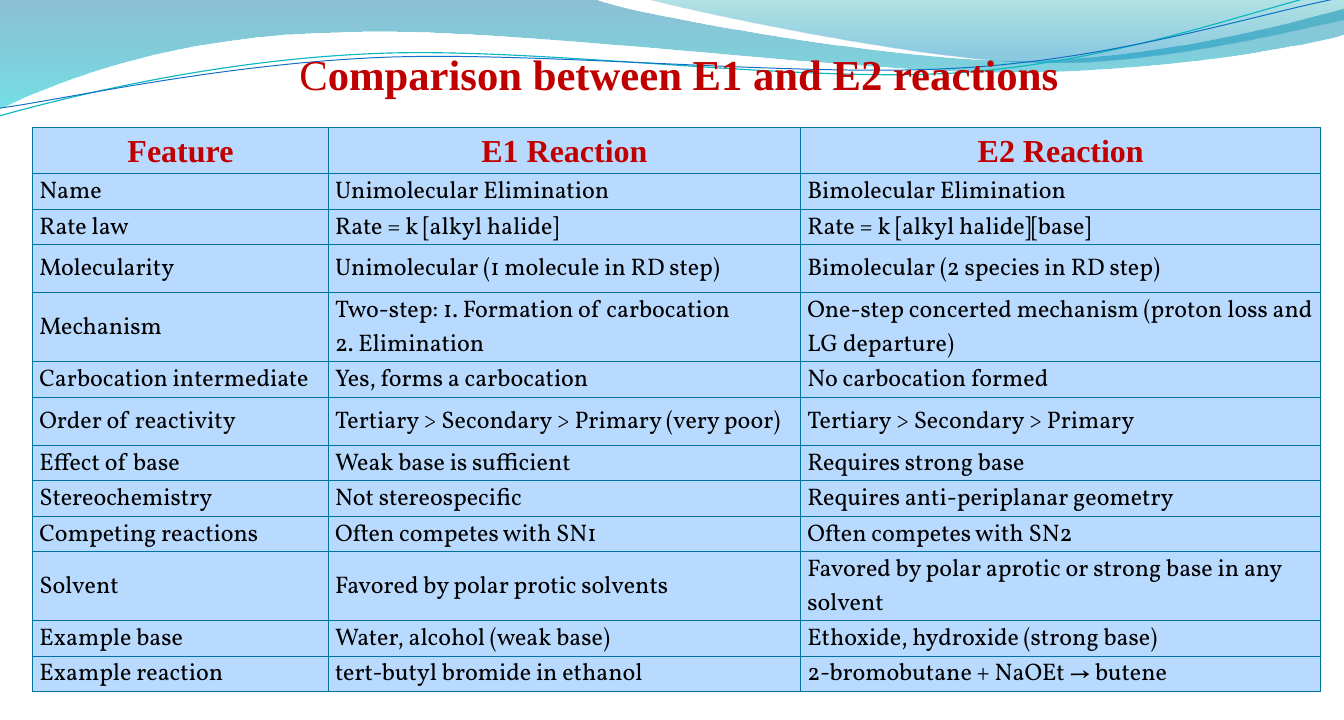
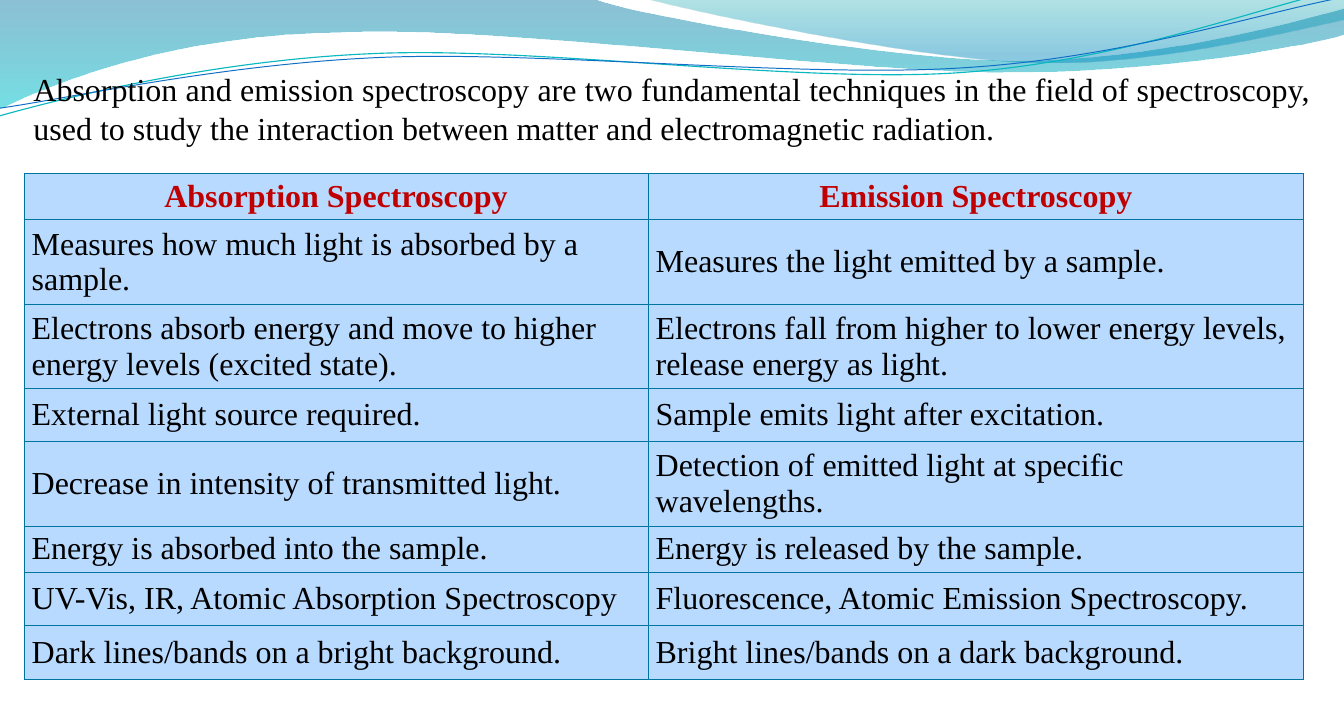
"""Build two comparison slides that share a wave banner and a table style."""
import dataclasses
import math
import typing

import lxml.etree
import pptx
import pptx.dml.color
import pptx.enum.text
import pptx.oxml.ns
import pptx.util

Inches = pptx.util.Inches
Pt = pptx.util.Pt
qn = pptx.oxml.ns.qn
ALIGN = pptx.enum.text.PP_ALIGN
MIDDLE = pptx.enum.text.MSO_ANCHOR.MIDDLE

SERIF = "Times New Roman"
BODY = "Vollkorn"
RED = "C00000"
BLACK = "000000"
CELL_BLUE = "B9DAFF"
BORDER = "0074A1"
LINE_TILT = 357.3

Point = tuple[float, float]


class Stop(typing.NamedTuple):
    """One colour of a wave's gradient."""
    position: float
    color: str
    opacity: int


class Stroke(typing.NamedTuple):
    """Colour and width in points of a wave's line."""
    color: str
    width: float


class Box(typing.NamedTuple):
    """Left, top, width and height in inches."""
    left: float
    top: float
    width: float
    height: float


@dataclasses.dataclass(frozen=True)
class Wave:
    """A band or line; one-point pieces are straight, three-point ones curved."""
    box: Box
    start: Point
    pieces: list[tuple[Point, ...]]
    stops: tuple[Stop, ...] = ()
    stroke: Stroke | None = None
    tilt: float = 0


@dataclasses.dataclass(frozen=True)
class Comparison:
    """A table with its place, sizes, body text style and rows."""
    left: float
    top: float
    widths: list[float]
    heights: list[float]
    side_inset: float
    top_inset: float
    bottom_inset: float
    body_font: str
    body_size: int
    rows: list[tuple[str, ...]]


WAVES = [
    Wave(
        box=Box(-0.01, -0.01, 14.03, 1.14),
        start=(0, 0),
        pieces=[((6.16, -0.01),),
                ((6.66, 0.17), (9.29, 0.63), (10.62, 0.63)),
                ((11.94, 0.63), (13.42, 0.26), (14, 0.09)),
                ((14.01, 0.36),),
                ((13.77, 0.44), (12.18, 0.76), (10.44, 0.75)),
                ((8.71, 0.75), (5.34, 0.28), (3.6, 0.34)),
                ((1.81, 0.36), (0.64, 0.83), (-0.01, 1.13)),
                ((0, 0),)],
        stops=(Stop(0, "0074A1", 45), Stop(1, "00C6CF", 55)),
    ),
    Wave(
        box=Box(6.71, -0.01, 7.29, 0.7),
        start=(6.71, -0.01),
        pieces=[((7.13, 0.11), (9.55, 0.62), (10.76, 0.65)),
                ((11.98, 0.69), (13.46, 0.32), (14, 0.21)),
                ((14, 0),),
                ((6.71, -0.01),)],
        stops=(Stop(0, "00A1A9", 30), Stop(0.8, "008BBF", 45)),
    ),
    Wave(
        box=Box(-0.03, 0.22, 14.03, 0.71),
        start=(-0.01, 1.21),
        pieces=[((0.67, 1.02), (2.21, 0.63), (3.87, 0.56)),
                ((5.54, 0.48), (8.29, 0.87), (9.97, 0.76)),
                ((11.66, 0.65), (13.14, 0.07), (13.98, -0.11))],
        stroke=Stroke("0AB8BF", 0.85), tilt=LINE_TILT,
    ),
    Wave(
        box=Box(-0.02, 0.3, 14.05, 0.58),
        start=(0, 1.13),
        pieces=[((0.66, 1.04), (2.29, 0.67), (3.97, 0.6)),
                ((5.64, 0.53), (8.36, 0.82), (10.03, 0.71)),
                ((11.7, 0.61), (13.18, 0.12), (14, -0.03))],
        stroke=Stroke("0F6FC6", 0.75), tilt=LINE_TILT,
    ),
]

ELIMINATION = Comparison(
    left=0.34, top=1.33, widths=[3.08, 4.92, 5.42],
    heights=[0.48, 0.37, 0.37, 0.5, 0.72, 0.37, 0.5,
             0.37, 0.37, 0.37, 0.68, 0.37, 0.37],
    side_inset=0.07, top_inset=0.02, bottom_inset=0,
    body_font=BODY, body_size=18,
    rows=[
        ("Feature", "E1 Reaction", "E2 Reaction"),
        ("Name", "Unimolecular Elimination", "Bimolecular Elimination"),
        ("Rate law", "Rate = k [alkyl halide]", "Rate = k [alkyl halide][base]"),
        ("Molecularity", "Unimolecular (1 molecule in RD step)",
         "Bimolecular (2 species in RD step)"),
        ("Mechanism", "Two-step: 1. Formation of carbocation \v2. Elimination",
         "One-step concerted mechanism (proton loss and LG departure)"),
        ("Carbocation intermediate", "Yes, forms a carbocation",
         "No carbocation formed"),
        ("Order of reactivity", "Tertiary > Secondary > Primary (very poor)",
         "Tertiary > Secondary > Primary"),
        ("Effect of base", "Weak base is sufficient", "Requires strong base"),
        ("Stereochemistry", "Not stereospecific",
         "Requires anti-periplanar geometry"),
        ("Competing reactions", "Often competes with SN1",
         "Often competes with SN2"),
        ("Solvent", "Favored by polar protic solvents",
         "Favored by polar aprotic or strong base in any solvent"),
        ("Example base", "Water, alcohol (weak base)",
         "Ethoxide, hydroxide (strong base)"),
        ("Example reaction", "tert-butyl bromide in ethanol",
         "2-bromobutane + NaOEt → butene"),
    ],
)

SPECTROSCOPY = Comparison(
    left=0.25, top=1.81, widths=[6.5, 6.83],
    heights=[0.48, 0.88, 0.88, 0.55, 0.88, 0.48, 0.56, 0.56],
    side_inset=0.08, top_inset=0.04, bottom_inset=0.04,
    body_font=SERIF, body_size=24,
    rows=[
        ("Absorption Spectroscopy", "Emission Spectroscopy"),
        ("Measures how much light is absorbed by a sample.",
         "Measures the light emitted by a sample."),
        ("Electrons absorb energy and move to higher energy levels (excited state).",
         "Electrons fall from higher to lower energy levels, release energy as light."),
        ("External light source required.", "Sample emits light after excitation."),
        ("Decrease in intensity of transmitted light.",
         "Detection of emitted light at specific wavelengths."),
        ("Energy is absorbed into the sample.", "Energy is released by the sample."),
        ("UV-Vis, IR, Atomic Absorption Spectroscopy",
         "Fluorescence, Atomic Emission Spectroscopy."),
        ("Dark lines/bands on a bright background.",
         "Bright lines/bands on a dark background."),
    ],
)

INTRODUCTION = (
    "Absorption and emission spectroscopy are two fundamental techniques in the "
    "field of spectroscopy, used to study the interaction between matter and "
    "electromagnetic radiation."
)


def rgb(color: str) -> pptx.dml.color.RGBColor:
    """Turn a hex string into a colour."""
    return pptx.dml.color.RGBColor.from_string(color)


def format_run(run, font: str, size: float, color: str, bold: bool = False) -> None:
    """Set the font of one run."""
    run.font.name = font
    run.font.size = Pt(size)
    run.font.bold = bold
    run.font.color.rgb = rgb(color)


def untilt(point: Point, wave: Wave) -> Point:
    """Turn a point back around the wave's centre, in EMU."""
    center_x = wave.box.left + wave.box.width / 2
    center_y = wave.box.top + wave.box.height / 2
    angle = math.radians(-wave.tilt)
    x, y = point[0] - center_x, point[1] - center_y
    return (Inches(center_x + x * math.cos(angle) - y * math.sin(angle)),
            Inches(center_y + x * math.sin(angle) + y * math.cos(angle)))


def bend(shape, pieces: list[tuple[Point, ...]]) -> None:
    """Join the line segments of each three-point piece into a curve."""
    segments = iter(list(shape._element.iter(qn("a:lnTo"))))
    for piece in pieces:
        nodes = [next(segments) for _ in piece]
        if len(nodes) == 3:
            curve = lxml.etree.Element(qn("a:cubicBezTo"))
            nodes[0].addprevious(curve)
            for node in nodes:
                curve.append(node[0])
                node.getparent().remove(node)


def draw_wave(slide, wave: Wave) -> None:
    """Draw one band or line of the banner."""
    builder = slide.shapes.build_freeform(*untilt(wave.start, wave))
    builder.add_line_segments(
        [untilt(point, wave) for piece in wave.pieces for point in piece],
        close=bool(wave.stops))
    shape = builder.convert_to_shape()
    bend(shape, wave.pieces)
    shape.left, shape.top, shape.width, shape.height = map(Inches, wave.box)
    shape.rotation = wave.tilt
    shape.shadow.inherit = False
    if wave.stroke:
        shape.fill.background()
        shape.line.color.rgb = rgb(wave.stroke.color)
        shape.line.width = Pt(wave.stroke.width)
        return
    shape.line.fill.background()
    shape.fill.gradient()
    shape.fill.gradient_angle = 270
    for gradient_stop, stop in zip(shape.fill.gradient_stops, wave.stops):
        gradient_stop.position = stop.position
        gradient_stop.color.rgb = rgb(stop.color)
    for node, stop in zip(shape._element.iter(qn("a:srgbClr")), wave.stops):
        lxml.etree.SubElement(node, qn("a:alpha"), val=str(stop.opacity * 1000))


def add_borders(cell) -> None:
    """Outline a cell on all four sides."""
    properties = cell._tc.get_or_add_tcPr()
    for side in ("a:lnL", "a:lnR", "a:lnT", "a:lnB"):
        line = lxml.etree.SubElement(properties, qn(side), w=str(Pt(0.75)))
        fill = lxml.etree.SubElement(line, qn("a:solidFill"))
        lxml.etree.SubElement(fill, qn("a:srgbClr"), val=BORDER)


def fill_cell(cell, text: str, comparison: Comparison, header: bool) -> None:
    """Write and style one table cell."""
    add_borders(cell)
    cell.fill.solid()
    cell.fill.fore_color.rgb = rgb(CELL_BLUE)
    cell.vertical_anchor = MIDDLE
    cell.margin_left = cell.margin_right = Inches(comparison.side_inset)
    cell.margin_top = Inches(comparison.top_inset)
    cell.margin_bottom = Inches(comparison.bottom_inset)
    cell.text_frame.text = text
    paragraph = cell.text_frame.paragraphs[0]
    paragraph.alignment = ALIGN.CENTER if header else ALIGN.LEFT
    for run in paragraph.runs:
        if header:
            format_run(run, SERIF, 24, RED, bold=True)
        else:
            format_run(run, comparison.body_font, comparison.body_size, BLACK)


def draw_comparison(slide, comparison: Comparison) -> None:
    """Draw a comparison table."""
    box = Box(comparison.left, comparison.top,
              sum(comparison.widths), sum(comparison.heights))
    table = slide.shapes.add_table(
        len(comparison.rows), len(comparison.widths), *map(Inches, box)).table
    for column, width in zip(table.columns, comparison.widths):
        column.width = Inches(width)
    for row, height in zip(table.rows, comparison.heights):
        row.height = Inches(height)
    for r, texts in enumerate(comparison.rows):
        for c, text in enumerate(texts):
            fill_cell(table.cell(r, c), text, comparison, header=r == 0)


def add_text(slide, box: Box, wrap: bool, alignment):
    """Add a text box and return its first paragraph."""
    frame = slide.shapes.add_textbox(*map(Inches, box)).text_frame
    frame.word_wrap = wrap
    frame.vertical_anchor = MIDDLE
    paragraph = frame.paragraphs[0]
    paragraph.alignment = alignment
    return paragraph


def add_comparison_slide(deck, comparison: Comparison):
    """Add a slide with the banner and a table."""
    slide = deck.slides.add_slide(deck.slide_layouts[6])
    for wave in WAVES:
        draw_wave(slide, wave)
    draw_comparison(slide, comparison)
    return slide


def main() -> None:
    """Build and save the deck."""
    deck = pptx.Presentation()
    deck.slide_width, deck.slide_height = Inches(14), Inches(7.5)

    elimination = add_comparison_slide(deck, ELIMINATION)
    title = add_text(elimination, Box(2.98, 0.44, 8.19, 0.64), False, ALIGN.CENTER)
    for text, bold in (("C", False), ("omparison between E1 and E2 reactions", True)):
        run = title.add_run()
        run.text = text
        format_run(run, SERIF, 32, RED, bold)

    spectroscopy = add_comparison_slide(deck, SPECTROSCOPY)
    introduction = add_text(spectroscopy, Box(0.25, 0.67, 13.5, 0.91), True, ALIGN.JUSTIFY)
    introduction.text = INTRODUCTION
    format_run(introduction.runs[0], SERIF, 24, BLACK)

    deck.save("out.pptx")


if __name__ == "__main__":
    main()
